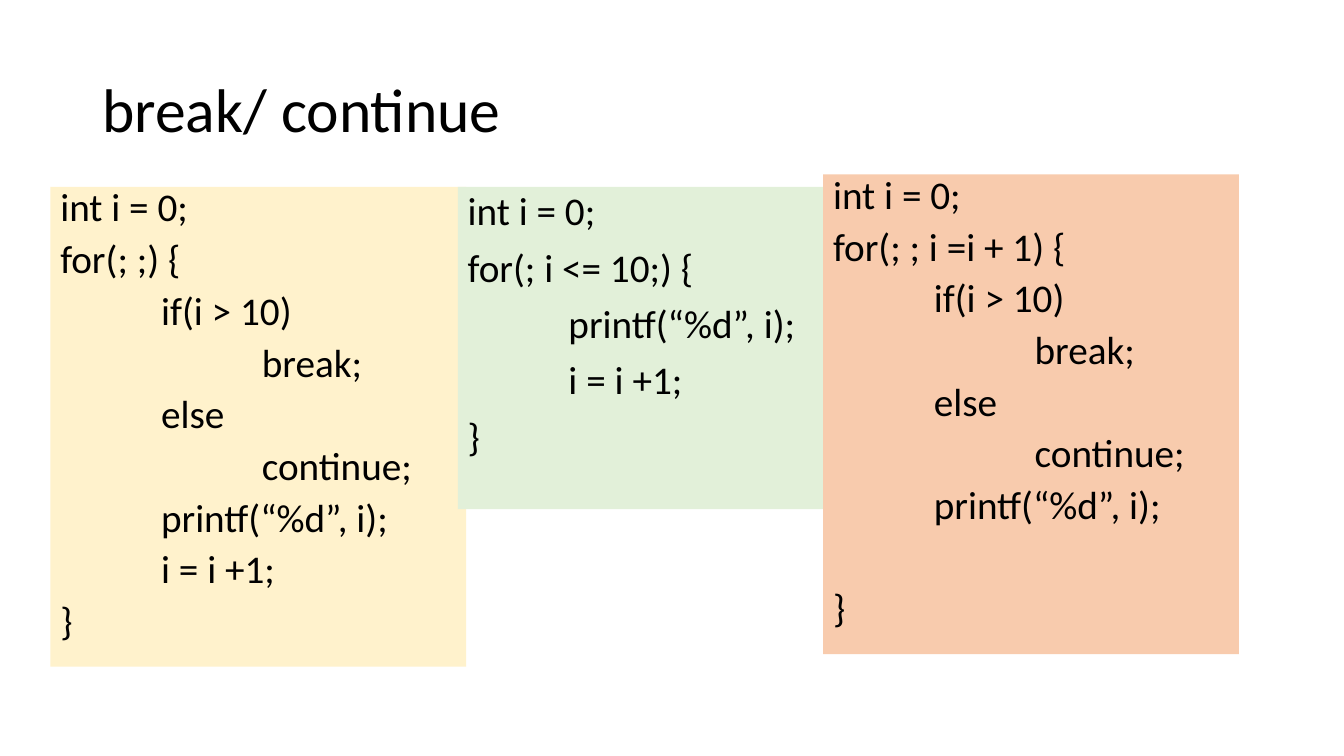
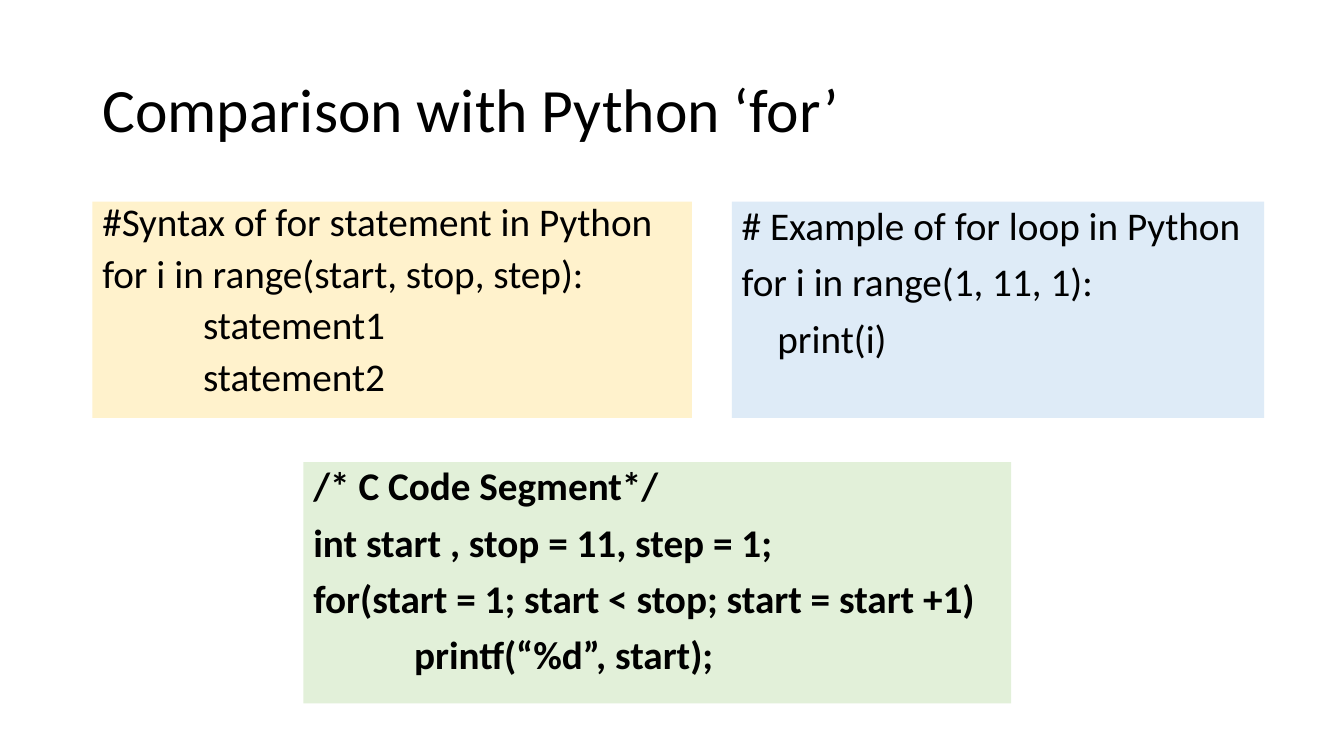
"""Build two slides of code panels on loops in C and Python."""
from pptx import Presentation
from pptx import util as u
from pptx.dml.color import RGBColor
from pptx.enum import text

PX = 9525
TAB = 96
NUDGE = 34
FONT = "Calibri"
BLACK = RGBColor(0x00, 0x00, 0x00)
CREAM = RGBColor(0xFF, 0xF2, 0xCC)
GREEN = RGBColor(0xE2, 0xF0, 0xD9)
PEACH = RGBColor(0xF8, 0xCB, 0xAD)
BLUE = RGBColor(0xDE, 0xEB, 0xF7)
TITLE = (88, 38, 1104, 139)
GAP = 10
WIDE = 47


def add_box(slide, place, lines, size, lead, gap=0, bold=False):
    """Add a text box with one paragraph per (indent, line) pair."""
    box = slide.shapes.add_textbox(*(n * PX for n in place))
    frame = box.text_frame
    frame.word_wrap = True
    for i, (indent, line) in enumerate(lines):
        para = frame.paragraphs[0] if i == 0 else frame.add_paragraph()
        para.text = line
        para.line_spacing = lead
        para.space_before = u.Pt(gap)
        para.font.name = FONT
        para.font.size = u.Pt(size)
        para.font.bold = bold
        para.font.color.rgb = BLACK
        if indent:
            para._p.get_or_add_pPr().set("marL", str(indent * PX))
    return box


body = [
    (TAB, "if(i > 10)"),
    (2 * TAB, "break;"),
    (TAB, "else"),
    (2 * TAB, "continue;"),
    (TAB, "printf(“%d”, i);"),
]
start = (0, "int i = 0;")
step = (TAB, "i = i +1;")
end = (0, "}")

endless = [start, (0, "for(; ;) {"), *body, step, end]
tested = [start, (0, "for(; i <= 10;) {"), body[-1], step, end]
stepped = [start, (0, "for(; ; i =i + 1) {"), *body, end]
syntax = [
    (0, "#Syntax of for statement in Python"),
    (0, "for i in range(start, stop, step):"),
    (TAB, "statement1"),
    (TAB, "statement2"),
]
sample = [
    (0, "# Example of for loop in Python"),
    (0, "for i in range(1, 11, 1):"),
    (NUDGE, "print(i)"),
]
segment = [
    (0, "/* C Code Segment*/"),
    (0, "int start , stop = 11, step = 1;"),
    (0, "for(start = 1; start < stop; start = start +1)"),
    (TAB, "printf(“%d”, start);"),
]

pages = [
    ("break/ continue", [
        ((48, 178, 396, 457), CREAM, endless, 0.8, False),
        ((436, 178, 348, 307), GREEN, tested, 0.9, False),
        ((784, 166, 396, 457), PEACH, stepped, 0.8, False),
    ]),
    ("Comparison with Python ‘for’", [
        ((88, 192, 571, 206), CREAM, syntax, 0.8, False),
        ((697, 192, 507, 206), BLUE, sample, 0.9, False),
        ((289, 440, 674, 230), GREEN, segment, 0.9, True),
    ]),
]

deck = Presentation()
deck.slide_width = 1280 * PX
deck.slide_height = 720 * PX

for title, panels in pages:
    slide = deck.slides.add_slide(deck.slide_layouts[6])
    head = add_box(slide, TITLE, [(0, title)], 44, 0.9)
    head.text_frame.vertical_anchor = text.MSO_ANCHOR.MIDDLE
    for place, fill, lines, lead, bold in panels:
        panel = add_box(slide, place, lines, 28, lead, GAP, bold)
        panel.fill.solid()
        panel.fill.fore_color.rgb = fill
        if lines is stepped:
            panel.text_frame.paragraphs[-1].space_before = u.Pt(WIDE)

deck.save("out.pptx")
